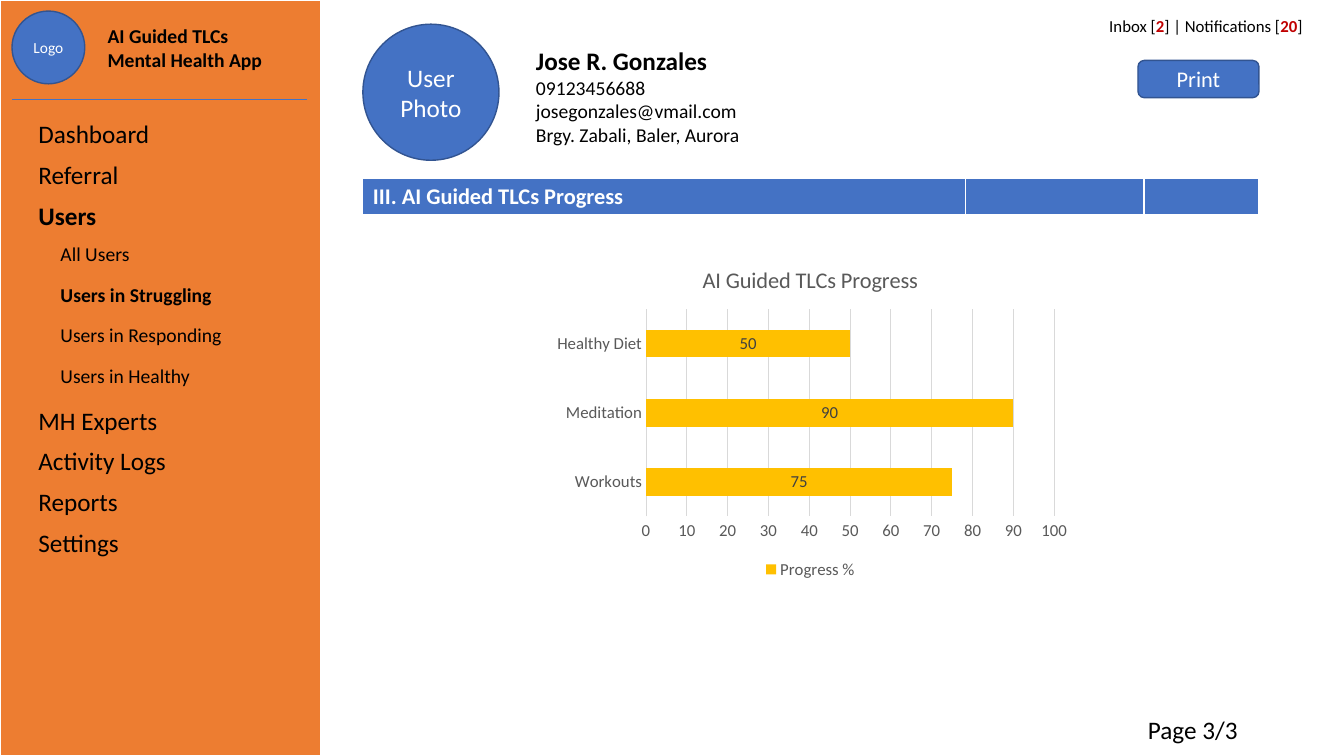
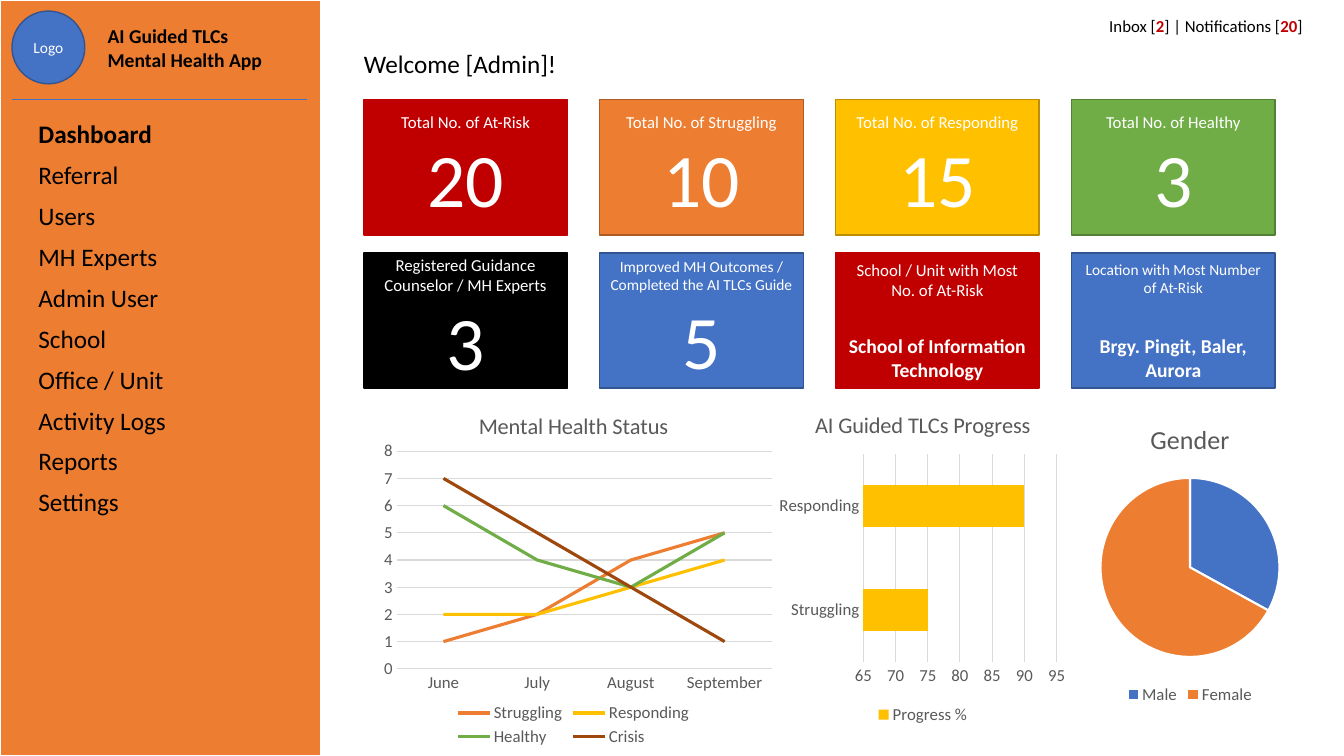
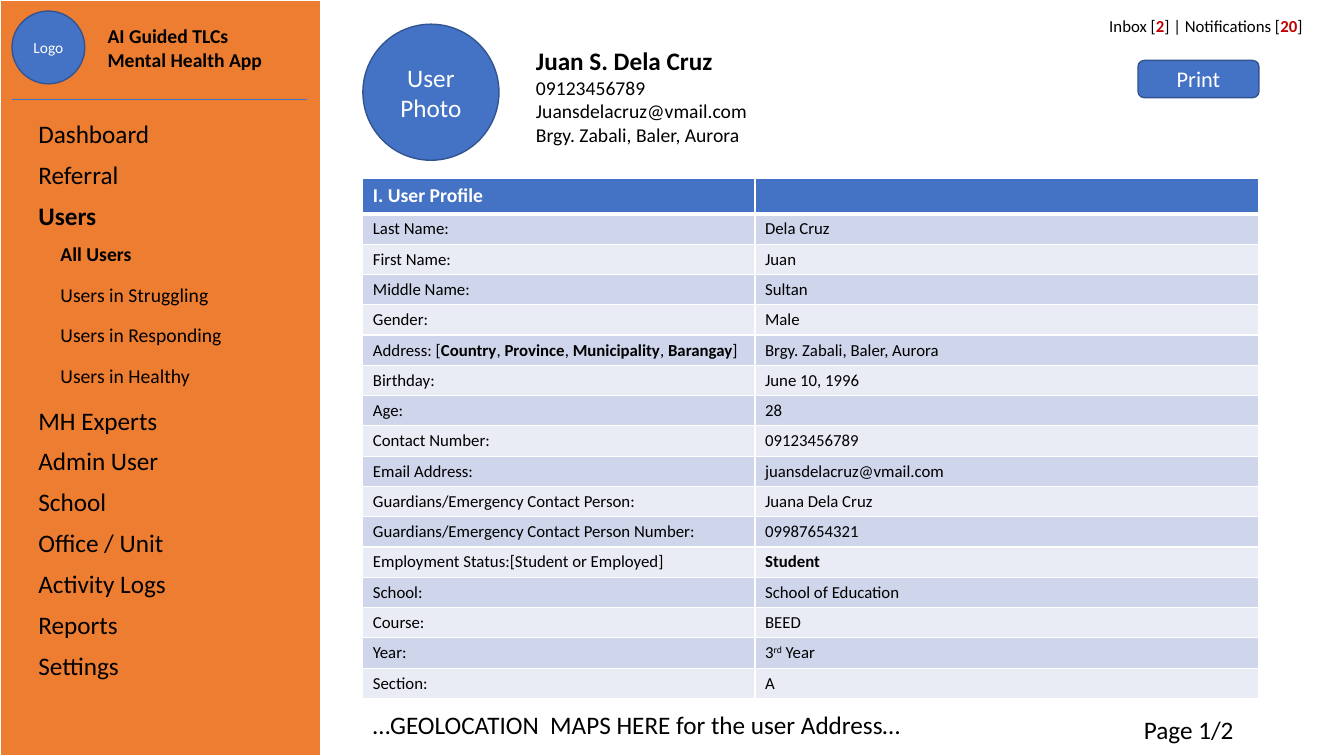
from pptx import Presentation
from pptx.chart.data import CategoryChartData
from pptx.dml.color import RGBColor
from pptx.enum.chart import XL_CHART_TYPE, XL_LABEL_POSITION, XL_LEGEND_POSITION, XL_TICK_MARK
from pptx.enum.shapes import MSO_CONNECTOR, MSO_SHAPE
from pptx.enum.text import MSO_ANCHOR, PP_ALIGN
from pptx.oxml.ns import qn
from pptx.oxml.xmlchemy import OxmlElement
from pptx.util import Pt

RECT, ROUND, OVAL = MSO_SHAPE.RECTANGLE, MSO_SHAPE.ROUNDED_RECTANGLE, MSO_SHAPE.OVAL
LEFT, CENTER, RIGHT = PP_ALIGN.LEFT, PP_ALIGN.CENTER, PP_ALIGN.RIGHT
MIDDLE, TOP = MSO_ANCHOR.MIDDLE, MSO_ANCHOR.TOP
BAR, LINE, PIE = XL_CHART_TYPE.BAR_STACKED, XL_CHART_TYPE.LINE, XL_CHART_TYPE.PIE
STRAIGHT = MSO_CONNECTOR.STRAIGHT
BOTTOM, NO_TICK = XL_LEGEND_POSITION.BOTTOM, XL_TICK_MARK.NONE
LABEL_CENTER = XL_LABEL_POSITION.CENTER


class Theme:
    font = "Calibri"
    black, white = RGBColor(0, 0, 0), RGBColor(255, 255, 255)
    blue, blue_line = RGBColor.from_string("4472C4"), RGBColor.from_string("325491")
    orange, orange_line = RGBColor.from_string("ED7D31"), RGBColor.from_string("AF5C24")
    gold, gold_line = RGBColor.from_string("FFC000"), RGBColor.from_string("BD8E00")
    green, green_line = RGBColor.from_string("70AD47"), RGBColor.from_string("538035")
    red, brown = RGBColor.from_string("C00000"), RGBColor.from_string("9E480E")
    band, pale = RGBColor.from_string("CFD5EA"), RGBColor.from_string("E9EBF5")
    gray, label, grid = (RGBColor.from_string(c) for c in ("595959", "404040", "D9D9D9"))
    figure, big, head, body, small, tiny = 54, 18, 16, 14, 12, 11


def write(p, runs, size, color, bold=False, align=LEFT):
    p.alignment = align
    for text, style in [(runs, "")] if isinstance(runs, str) else runs:
        r = p.add_run()
        r.text = text
        r.font.name, r.font.size = Theme.font, Pt(size)
        r.font.bold = bold or style in ("bold", "count")
        r.font.color.rgb = Theme.red if style == "count" else color
        if style == "super":
            r._r.get_or_add_rPr().set("baseline", "30000")


def add_box(s, kind, at, paras=(), fill=None, line=None, width=1, color=Theme.black, align=LEFT):
    at = [Pt(v) for v in at]
    if kind is None:
        sp = s.shapes.add_textbox(*at)
    else:
        sp = s.shapes.add_shape(kind, *at)
        sp.shadow.inherit = False
        sp.fill.solid()
        sp.fill.fore_color.rgb = fill
        sp.line.color.rgb, sp.line.width = line, Pt(width)
    tf = sp.text_frame
    tf.word_wrap = True
    tf.vertical_anchor = TOP if kind is None else MIDDLE
    for i, (runs, size, bold, before) in enumerate(paras):
        p = tf.add_paragraph() if i else tf.paragraphs[0]
        if before:
            p.space_before = Pt(before)
        write(p, runs, size, color, bold, align)
    return sp


prs = Presentation()
prs.slide_width, prs.slide_height = Pt(960), Pt(540)
progress, dashboard, profile = slides = [prs.slides.add_slide(prs.slide_layouts[6]) for _ in range(3)]

# fmt: off
start = ["Dashboard", "Referral", "Users"]
groups = ["All Users", "Users in Struggling", "Users in Responding", "Users in Healthy"]
admin = ["Admin User", "School", "Office / Unit"]
end = ["Activity Logs", "Reports", "Settings"]
menus = [
    (progress, start + groups + ["MH Experts"] + end, ("Users", "Users in Struggling")),
    (dashboard, start + ["MH Experts"] + admin + end, ("Dashboard",)),
    (profile, start + groups + ["MH Experts"] + admin + end, ("Users", "All Users")),
]
inbox = [("Inbox [", ""), ("2", "count"), ("] | Notifications [", ""), ("20", "count"), ("]", "")]

for s in slides:
    add_box(s, RECT, (0, 0, 229.7, 540), fill=Theme.orange, line=Theme.white, width=1.5)
    add_box(s, OVAL, (8.6, 7.9, 52, 52), [("Logo", Theme.tiny, False, 0)],
            Theme.blue, Theme.blue_line, color=Theme.white, align=CENTER)
    add_box(s, None, (69.8, 13.7, 131.8, 41), [("AI Guided TLCs Mental Health App", Theme.body, True, 0)])
    add_box(s, None, (745.9, 7.9, 191.5, 21.6), [(inbox, Theme.small, False, 0)], align=RIGHT)
    rule = s.shapes.add_connector(STRAIGHT, Pt(8.6), Pt(71.3), Pt(219.6), Pt(71.3))
    rule.line.color.rgb, rule.line.width = Theme.blue, Pt(0.5)
    rule._element.spPr.append(OxmlElement("a:effectLst"))

users = [
    (progress, "Jose R. Gonzales", "09123456688", "josegonzales@vmail.com", "Page 3/3", 812.9),
    (profile, "Juan S. Dela Cruz", "09123456789", "Juansdelacruz@vmail.com", "Page 1/2", 810),
]
for s, name, phone, email, page, page_x in users:
    add_box(s, ROUND, (812.9, 43.2, 86.4, 26.6), [("Print", Theme.head, False, 0)],
            Theme.blue, Theme.blue_line, color=Theme.white, align=CENTER)
    add_box(s, OVAL, (259.2, 17.3, 97.2, 97.2), [("User Photo", Theme.big, False, 0)],
            Theme.blue, Theme.blue_line, color=Theme.white, align=CENTER)
    contact = [(text, Theme.body, False, 0) for text in (phone, email, "Brgy. Zabali, Baler, Aurora")]
    add_box(s, None, (375.8, 28.8, 247.7, 79.9), [(name, Theme.big, True, 0)] + contact)
    add_box(s, None, (page_x, 506.9, 89.3, 28.8), [(page, Theme.big, False, 0)])
add_box(profile, None, (259.2, 503.3, 422.6, 28.8),
        [("…GEOLOCATION  MAPS HERE for the user Address…", Theme.big, False, 0)])

welcome = add_box(dashboard, None, (259.9, 31, 343.4, 28.8), [("Welcome [Admin]!", Theme.big, False, 0)])
welcome.text_frame.margin_left = 0
cards = [
    ("Total No. of At-Risk", Theme.small, "20", 0, Theme.red, Theme.red),
    ("Total No. of Struggling", Theme.small, "10", 0, Theme.orange, Theme.orange_line),
    ("Total No. of Responding", Theme.small, "15", 0, Theme.gold, Theme.gold_line),
    ("Total No. of Healthy", Theme.small, "3", 0, Theme.green, Theme.green_line),
    ("Registered Guidance Counselor / MH Experts", Theme.small, "3", 0, Theme.black, Theme.black),
    ("Improved MH Outcomes / Completed the AI TLCs Guide", Theme.tiny, "5", 0, Theme.blue, Theme.blue_line),
    ("School / Unit with Most No. of At-Risk", Theme.small, "School of Information Technology", 24.4,
     Theme.red, Theme.red),
    ("Location with Most Number of At-Risk", Theme.tiny, "Brgy. Pingit, Baler, Aurora", 26.8,
     Theme.blue, Theme.blue_line),
]
for i, (caption, size, value, gap, fill, line) in enumerate(cards):
    row, col = divmod(i, 4)
    value_size = Theme.body if gap else Theme.figure
    add_box(dashboard, RECT, (259.9 + col * 168.5, 71.3 + row * 109.4, 145.4, 96.5),
            [(caption, size, False, 0), (value, value_size, gap > 0, gap)],
            fill, line, color=Theme.white, align=CENTER)

address = [("Address: [", ""), ("Country", "bold"), (", ", ""), ("Province", "bold"), (", ", ""),
           ("Municipality", "bold"), (", ", ""), ("Barangay", "bold"), ("]", "")]
details = [
    ("Last Name:", "Dela Cruz"),
    ("First Name:", "Juan"),
    ("Middle Name:", "Sultan"),
    ("Gender:", "Male"),
    (address, "Brgy. Zabali, Baler, Aurora"),
    ("Birthday:", "June 10, 1996"),
    ("Age:", "28"),
    ("Contact Number:", "09123456789"),
    ("Email Address:", "juansdelacruz@vmail.com"),
    ("Guardians/Emergency Contact Person:", "Juana Dela Cruz"),
    ("Guardians/Emergency Contact Person Number:", "09987654321"),
    ("Employment Status:[Student or Employed]", [("Student", "bold")]),
    ("School:", "School of Education"),
    ("Course:", "BEED"),
    ("Year:", [("3", ""), ("rd", "super"), (" Year", "")]),
    ("Section:", "A"),
]
tables = [(s, (20.2, 82.1), [190], 29.2, 29.2, None, [(item,) for item in items], active)
          for s, items, active in menus]
tables += [
    (progress, (259.2, 127.4), [430.6, 127.4, 82], 26.8, 26.8, Theme.head,
     [("III. AI Guided TLCs Progress", "", "")], ()),
    (profile, (259.2, 127.4), [280.1, 359.9], 25.4, 21.6, Theme.body, [("I. User Profile", "")] + details, ()),
]
for s, (x, y), widths, first_h, row_h, head_size, rows, active in tables:
    height = first_h + row_h * (len(rows) - 1)
    tbl = s.shapes.add_table(len(rows), len(widths), Pt(x), Pt(y), Pt(sum(widths)), Pt(height)).table
    tbl.first_row = tbl.horz_banding = False
    for col, width in zip(tbl.columns, widths):
        col.width = Pt(width)
    for i, texts in enumerate(rows):
        tbl.rows[i].height = Pt(row_h if i else first_h)
        header = head_size is not None and i == 0
        for j, text in enumerate(texts):
            cell = tbl.cell(i, j)
            p = cell.text_frame.paragraphs[0]
            if head_size is None:
                cell.fill.background()
                nested = text in groups
                if nested:
                    cell.margin_left = Pt(23)
                write(p, text, Theme.body if nested else Theme.big, Theme.black, text in active)
            else:
                cell.fill.solid()
                cell.fill.fore_color.rgb = Theme.blue if header else (Theme.pale, Theme.band)[i % 2]
                if text:
                    write(p, text, head_size if header else Theme.small,
                          Theme.white if header else Theme.black, header)
                else:
                    end_mark = OxmlElement("a:endParaRPr")
                    end_mark.set("sz", str(head_size * 100))
                    p._p.append(end_mark)
            for k, side in enumerate(("lnL", "lnR", "lnT", "lnB")):
                ln = OxmlElement(f"a:{side}")
                if head_size is None:
                    ln.append(OxmlElement("a:noFill"))
                else:
                    thick = (header and side == "lnB") or (i == 1 and side == "lnT")
                    ln.set("w", str(Pt(3 if thick else 1)))
                    solid, clr = OxmlElement("a:solidFill"), OxmlElement("a:srgbClr")
                    clr.set("val", str(Theme.white))
                    solid.append(clr)
                    ln.append(solid)
                cell._tc.get_or_add_tcPr().insert(k, ln)

charts = [
    (progress, BAR, (389.5, 177.8, 378.7, 239), "AI Guided TLCs Progress", Theme.head,
     ["Workouts", "Meditation", "Healthy Diet"], [("Progress %", [75, 90, 50])], [Theme.gold],
     (0.19, 0.18, 0.77, 0.62), (0, 100, 10)),
    (dashboard, LINE, (259.2, 281.5, 301, 254.9), "Mental Health Status", Theme.head,
     ["June", "July", "August", "September"],
     [("Struggling", [1, 2, 4, 5]), ("Responding", [2, 2, 3, 4]),
      ("Healthy", [6, 4, 3, 5]), ("Crisis", [7, 5, 3, 1])],
     [Theme.orange, Theme.gold, Theme.green, Theme.brown], (0.08, 0.16, 0.89, 0.61), (0, 8, 1)),
    (dashboard, BAR, (553, 281.5, 212.4, 239), "AI Guided TLCs Progress", Theme.head,
     ["Struggling", "Responding"], [("Progress %", [75, 90])], [Theme.gold],
     (0.3, 0.18, 0.65, 0.62), (65, 95, 5)),
    (dashboard, PIE, (704.2, 289.4, 291.6, 216.7), "Gender", 18.6,
     ["Male", "Female"], [("Gender", [33, 67])], [Theme.blue, Theme.orange],
     (0.28, 0.24, 0.44, 0.59), None),
]
for s, kind, at, title, title_size, cats, series, colors, area, scale in charts:
    data = CategoryChartData()
    data.categories = cats
    for name, values in series:
        data.add_series(name, values)
    chart = s.shapes.add_chart(kind, *[Pt(v) for v in at], data).chart
    chart.font.name, chart.font.size, chart.font.color.rgb = Theme.font, Pt(Theme.small), Theme.gray
    chart.has_title = True
    write(chart.chart_title.text_frame.paragraphs[0], title, title_size, Theme.gray, align=CENTER)
    chart.chart_title.include_in_layout = False
    chart.has_legend = True
    chart.legend.position, chart.legend.include_in_layout = BOTTOM, False
    plot = chart.plots[0]
    plot.vary_by_categories = kind == PIE
    if kind == PIE:
        for i, color in enumerate(colors):
            point = plot.series[0].points[i]
            point.format.fill.solid()
            point.format.fill.fore_color.rgb = color
            point.format.line.color.rgb, point.format.line.width = Theme.white, Pt(1.5)
    else:
        cat, val = chart.category_axis, chart.value_axis
        cat.major_tick_mark = val.major_tick_mark = NO_TICK
        cat.format.line.color.rgb, cat.format.line.width = Theme.grid, Pt(0.75)
        val.format.line.fill.background()
        val.has_major_gridlines = True
        grid = val.major_gridlines.format.line
        grid.color.rgb, grid.width = Theme.grid, Pt(0.75)
        val.minimum_scale, val.maximum_scale, val.major_unit = scale
        for ser, color in zip(plot.series, colors):
            if kind == LINE:
                ser.smooth = False
                ser.format.line.color.rgb, ser.format.line.width = color, Pt(2.25)
            else:
                ser.format.fill.solid()
                ser.format.fill.fore_color.rgb = color
    if kind == BAR:
        plot.gap_width, plot.overlap = 150, 100
    if s is progress:
        plot.has_data_labels = True
        labels = plot.data_labels
        labels.show_value, labels.position = True, LABEL_CENTER
        labels.font.name, labels.font.size, labels.font.color.rgb = Theme.font, Pt(Theme.small), Theme.label
    plot_area = chart._chartSpace.chart.plotArea
    for old in plot_area.findall(qn("c:layout")):
        plot_area.remove(old)
    layout, manual = OxmlElement("c:layout"), OxmlElement("c:manualLayout")
    for tag, value in zip(("layoutTarget", "xMode", "yMode", "x", "y", "w", "h"),
                          ("inner", "edge", "edge") + area):
        node = OxmlElement(f"c:{tag}")
        node.set("val", str(value))
        manual.append(node)
    layout.append(manual)
    plot_area.insert(0, layout)

prs.save("out.pptx")
